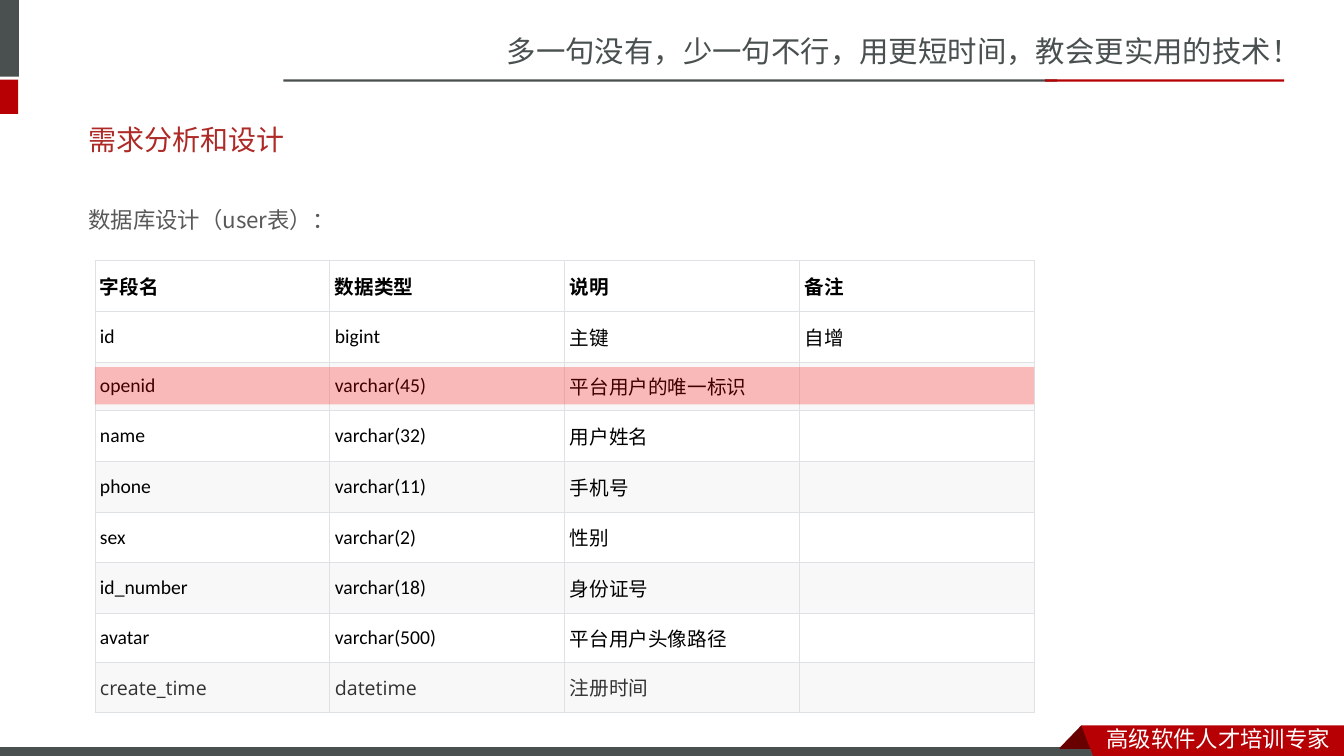
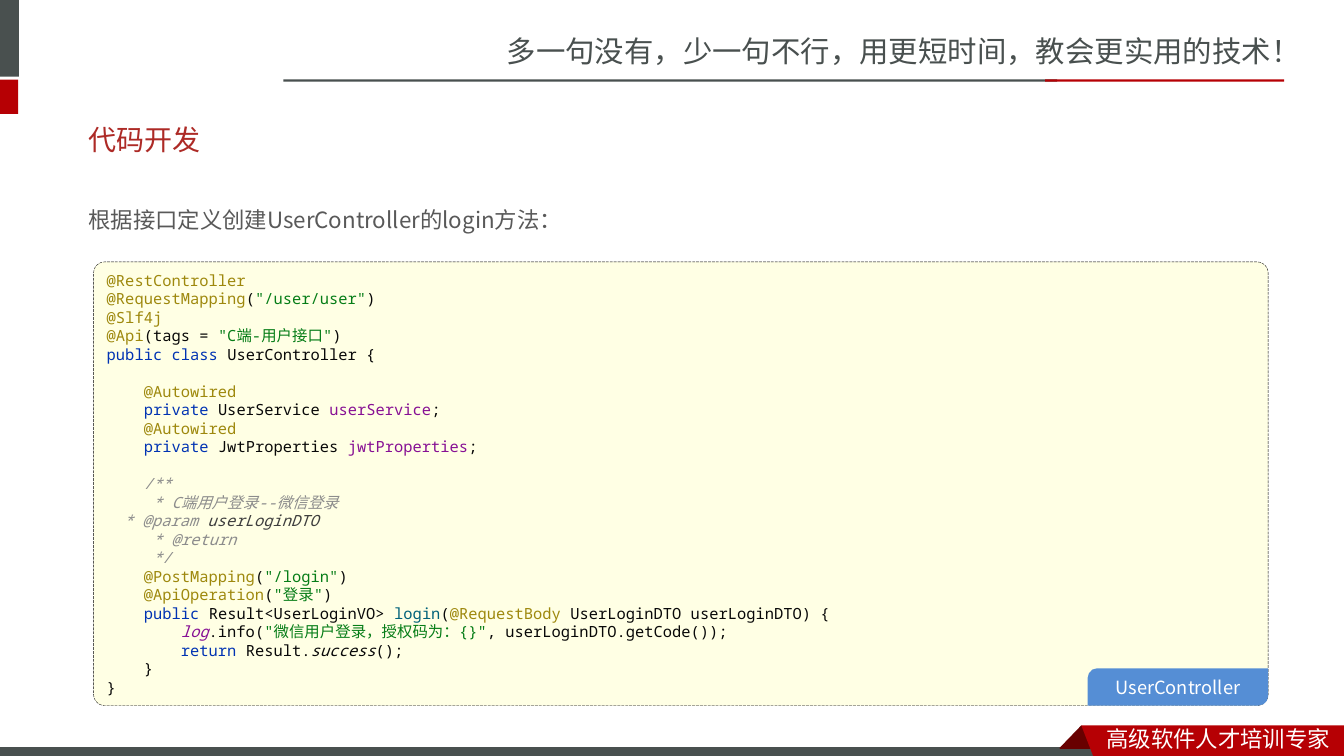
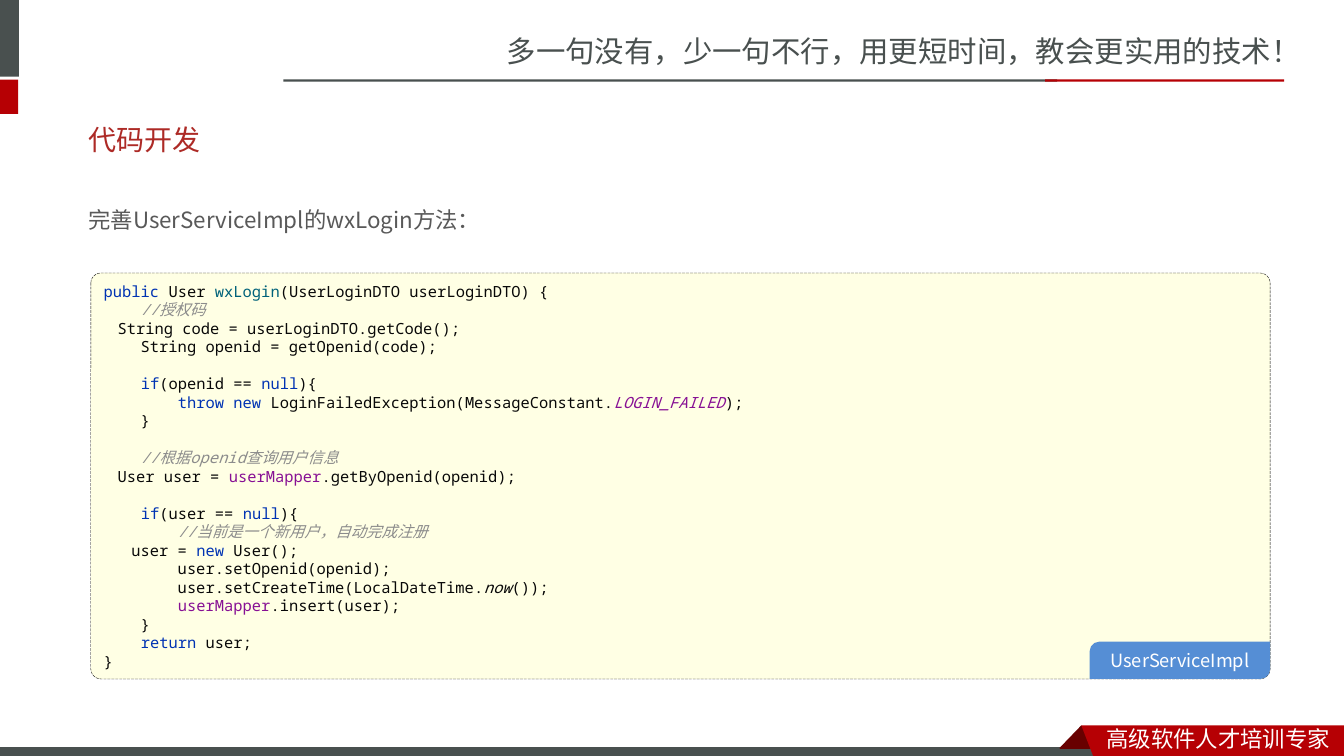
from copy import deepcopy

from lxml import etree
from pptx import Presentation
from pptx import util as u
from pptx.dml.color import RGBColor
from pptx.enum import dml, shapes, text
from pptx.oxml import ns

Cm, Pt = u.Cm, u.Pt
SHAPE = shapes.MSO_SHAPE

SLATE = RGBColor(0x49, 0x50, 0x4F)
RED = RGBColor(0xB6, 0x00, 0x04)
DARK_RED = RGBColor(0x68, 0x00, 0x00)
TITLE_RED = RGBColor(0xAD, 0x2A, 0x26)
HIGHLIGHT = RGBColor(0xFF, 0x00, 0x00)
WHITE = RGBColor(0xFF, 0xFF, 0xFF)
BLACK = RGBColor(0x00, 0x00, 0x00)
GREY = RGBColor(0x59, 0x59, 0x59)
DARK_GREY = RGBColor(0x33, 0x33, 0x33)
STRIPE = RGBColor(0xF8, 0xF8, 0xF8)
BORDER = "DFE2E5"
CREAM = RGBColor(0xFF, 0xFF, 0xE4)
BLUE = RGBColor(0x55, 0x8E, 0xD5)

PLAIN = RGBColor(0x08, 0x08, 0x08)
KEYWORD = RGBColor(0x00, 0x33, 0xB3)
ANNOTATION = RGBColor(0x9E, 0x88, 0x0D)
STRING = RGBColor(0x06, 0x7D, 0x17)
FIELD = RGBColor(0x87, 0x10, 0x94)
METHOD = RGBColor(0x00, 0x62, 0x7A)
COMMENT = RGBColor(0x8C, 0x8C, 0x8C)
PARAM = RGBColor(0x3D, 0x3D, 0x3D)

CJK = "Noto Sans CJK SC"
CJK_JP = "Noto Sans CJK JP"
HEADER_FONT = dict(name=CJK, size=Pt(21))
RIBBON_FONT = dict(name=CJK, size=Pt(16))
TITLE_FONT = dict(name="Lato", size=Pt(20), bold=False)
LEAD_FONT = dict(name=CJK_JP, size=Pt(16))
TAG_FONT = dict(name=CJK_JP, size=Pt(13))
CODE_FONT = dict(name="Noto Sans Mono", size=Pt(11))


def write(p, txt, color, fmt):
    for i, line in enumerate(txt.split("\n")):
        if i:
            p.add_line_break()
            p._p[-1].append(deepcopy(r._r.rPr))
        if line:
            r = p.add_run()
            r.text = line
            for key, value in fmt.items():
                setattr(r.font, key, value)
            r.font.color.rgb = color
            latin = r._r.rPr.find(ns.qn("a:latin"))
            ea = etree.Element(ns.qn("a:ea"), typeface=CJK)
            latin.addnext(ea)


def add_box(s, kind, x, y, w, h, fill):
    sp = s.shapes.add_shape(kind, Cm(x), Cm(y), Cm(w), Cm(h))
    sp.shadow.inherit = False
    sp.fill.solid()
    sp.fill.fore_color.rgb = fill
    sp.line.fill.background()
    return sp


prs = Presentation()
prs.slide_width, prs.slide_height = Cm(33.87), Cm(19.05)
layout = prs.slide_layouts[5]

PAGES = [
    ("需求分析和设计", "数据库设计（user表）："),
    ("代码开发", "根据接口定义创建UserController的login方法："),
    ("代码开发", "完善UserServiceImpl的wxLogin方法："),
]
for title, lead in PAGES:
    s = prs.slides.add_slide(layout)
    sp = s.shapes.title
    sp.left, sp.top, sp.width, sp.height = Cm(1.98), Cm(2.79), Cm(29.72), Cm(1.45)
    tf = sp.text_frame
    tf.auto_size = text.MSO_AUTO_SIZE.NONE
    tf.vertical_anchor = text.MSO_ANCHOR.MIDDLE
    tf.paragraphs[0].alignment = text.PP_ALIGN.LEFT
    write(tf.paragraphs[0], title, TITLE_RED, TITLE_FONT)

    sp = s.shapes.add_textbox(Cm(1.98), Cm(4.72), Cm(28.93), Cm(1.17))
    sp.text_frame.word_wrap = True
    p = sp.text_frame.paragraphs[0]
    p.line_spacing = 1.5
    write(p, lead, GREY, LEAD_FONT)

table_slide, controller_slide, service_slide = prs.slides

s = table_slide
first_shared = len(s.shapes)
for x, y, w, h, fill in [
    (0, 0, 0.48, 1.93, SLATE),
    (0, 2.01, 0.46, 0.86, RED),
    (7.14, 2, 19.5, 0.06, SLATE),
    (26.34, 2, 6.02, 0.06, RED),
]:
    add_box(s, SHAPE.RECTANGLE, x, y, w, h, fill)
bar = add_box(s, SHAPE.RECTANGLE, -0.03, 18.82, 27.94, 0.3, SLATE)
bar.line.color.rgb = WHITE
bar.line.width = Pt(0.75)
for points, fill in [
    ([(27.25, 18.28), (27.81, 18.85), (27.79, 18.87), (26.72, 18.87), (26.7, 18.85)], DARK_RED),
    ([(27.25, 18.28), (33.87, 18.28), (33.87, 19.15), (27.58, 19.13)], RED),
]:
    corners = [(Cm(x), Cm(y)) for x, y in points]
    outline = s.shapes.build_freeform(*corners[0])
    outline.add_line_segments(corners[1:], close=True)
    sp = outline.convert_to_shape()
    sp.shadow.inherit = False
    sp.fill.solid()
    sp.fill.fore_color.rgb = fill
    sp.line.fill.background()
for x, y, w, h, txt, color, fmt in [
    (12.52, 0.71, 21.35, 1.19, "多一句没有，少一句不行，用更短时间，教会更实用的技术！", SLATE, HEADER_FONT),
    (27.64, 18.16, 6.23, 0.94, "高级软件人才培训专家", WHITE, RIBBON_FONT),
]:
    sp = s.shapes.add_textbox(Cm(x), Cm(y), Cm(w), Cm(h))
    sp.text_frame.word_wrap = True
    write(sp.text_frame.paragraphs[0], txt, color, fmt)
for sp in list(s.shapes)[first_shared:]:
    layout.shapes._spTree.append(sp._element)

ROWS = [
    ("字段名", "数据类型", "说明", "备注"),
    ("id", "bigint", "主键", "自增"),
    ("openid", "varchar(45)", "平台用户的唯一标识", ""),
    ("name", "varchar(32)", "用户姓名", ""),
    ("phone", "varchar(11)", "手机号", ""),
    ("sex", "varchar(2)", "性别", ""),
    ("id_number", "varchar(18)", "身份证号", ""),
    ("avatar", "varchar(500)", "平台用户头像路径", ""),
    ("create_time", "datetime", "注册时间", ""),
]
LAST = len(ROWS) - 1
CELL = dict(
    vertical_anchor=text.MSO_ANCHOR.MIDDLE,
    margin_left=Cm(0.13), margin_right=Cm(0.13),
    margin_top=Cm(0.05), margin_bottom=Cm(0.05),
)
table = s.shapes.add_table(
    len(ROWS), 4, Cm(2.39), Cm(6.56), Cm(23.68), Cm(11.4)).table
table.first_row = table.horz_banding = False
for column in table.columns:
    column.width = Cm(5.92)
for i, row in enumerate(ROWS):
    table.rows[i].height = Cm(1.22 if i in (2, 7) else 1.28)
    fmt = dict(name="Open Sans" if i == LAST else "Calibri", size=Pt(14), bold=i == 0)
    for j, txt in enumerate(row):
        cell = table.cell(i, j)
        for key, value in CELL.items():
            setattr(cell, key, value)
        write(cell.text_frame.paragraphs[0], txt, DARK_GREY if i == LAST else BLACK, fmt)
        tcPr = cell._tc.get_or_add_tcPr()
        for side in ("lnL", "lnR", "lnT", "lnB"):
            ln = etree.SubElement(tcPr, ns.qn("a:" + side), w=str(Pt(0.5)))
            solid = etree.SubElement(ln, ns.qn("a:solidFill"))
            etree.SubElement(solid, ns.qn("a:srgbClr"), val=BORDER)
        if i and i % 2 == 0:
            cell.fill.solid()
            cell.fill.fore_color.rgb = STRIPE
        else:
            cell.fill.background()

sp = add_box(s, SHAPE.RECTANGLE, 2.39, 9.25, 23.67, 0.94, HIGHLIGHT)
rgb = sp._element.spPr.find(".//" + ns.qn("a:srgbClr"))
etree.SubElement(rgb, ns.qn("a:alpha"), val="25000")

CONTROLLER_CODE = [
    (ANNOTATION, "@RestController\n@RequestMapping"), (PLAIN, "("),
    (STRING, "\"/user/user\""), (PLAIN, ")\n"),
    (ANNOTATION, "@Slf4j\n@Api"), (PLAIN, "(tags = "),
    (STRING, "\"C端-用户接口\""), (PLAIN, ")\n"),
    (KEYWORD, "public class "), (PLAIN, "UserController {\n\n    "),
    (ANNOTATION, "@Autowired\n    "),
    (KEYWORD, "private "), (PLAIN, "UserService "),
    (FIELD, "userService"), (PLAIN, ";\n    "),
    (ANNOTATION, "@Autowired\n    "),
    (KEYWORD, "private "), (PLAIN, "JwtProperties "),
    (FIELD, "jwtProperties"), (PLAIN, ";\n\n    "),
    (COMMENT, "/**\n     * C端用户登录--微信登录\n     * @param ", True),
    (PARAM, "userLoginDTO\n     ", True),
    (COMMENT, "* @return\n     */\n    ", True),
    (ANNOTATION, "@PostMapping"), (PLAIN, "("),
    (STRING, "\"/login\""), (PLAIN, ")\n    "),
    (ANNOTATION, "@ApiOperation"), (PLAIN, "("),
    (STRING, "\"登录\""), (PLAIN, ")\n    "),
    (KEYWORD, "public "), (PLAIN, "Result<UserLoginVO> "),
    (METHOD, "login"), (PLAIN, "("), (ANNOTATION, "@RequestBody "),
    (PLAIN, "UserLoginDTO userLoginDTO) {\n        "),
    (FIELD, "log", True), (PLAIN, ".info("),
    (STRING, "\"微信用户登录，授权码为：{}\""),
    (PLAIN, ", userLoginDTO.getCode());\n        "),
    (KEYWORD, "return "), (PLAIN, "Result."), (PLAIN, "success", True),
    (PLAIN, "();\n    }\n}"),
]
SERVICE_CODE = [
    (KEYWORD, "public "), (PLAIN, "User "), (METHOD, "wxLogin"),
    (PLAIN, "(UserLoginDTO userLoginDTO) {\n    "),
    (COMMENT, "//授权码\n    ", True),
    (PLAIN, "String code = userLoginDTO.getCode();\n    "
            "String openid = getOpenid(code);\n\n    "),
    (KEYWORD, "if"), (PLAIN, "(openid == "), (KEYWORD, "null"), (PLAIN, "){\n        "),
    (KEYWORD, "throw new "), (PLAIN, "LoginFailedException(MessageConstant."),
    (FIELD, "LOGIN_FAILED", True), (PLAIN, ");\n    }\n\n    "),
    (COMMENT, "//根据openid查询用户信息\n    ", True),
    (PLAIN, "User user = "), (FIELD, "userMapper"),
    (PLAIN, ".getByOpenid(openid);\n\n    "),
    (KEYWORD, "if"), (PLAIN, "(user == "), (KEYWORD, "null"), (PLAIN, "){\n        "),
    (COMMENT, "//当前是一个新用户，自动完成注册\n        ", True),
    (PLAIN, "user = "), (KEYWORD, "new "),
    (PLAIN, "User();\n        user.setOpenid(openid);\n        "
            "user.setCreateTime(LocalDateTime."),
    (PLAIN, "now", True), (PLAIN, "());\n        "),
    (FIELD, "userMapper"), (PLAIN, ".insert(user);\n    }\n    "),
    (KEYWORD, "return "), (PLAIN, "user;\n}"),
]
TAG_W, TAG_H = 4.55, 0.94
for s, code, tag, x, y, w, h in [
    (controller_slide, CONTROLLER_CODE, "UserController", 2.36, 6.6, 29.6, 11.18),
    (service_slide, SERVICE_CODE, "UserServiceImpl", 2.29, 6.88, 29.72, 10.23),
]:
    sp = add_box(s, SHAPE.ROUNDED_RECTANGLE, x, y, w, h, CREAM)
    sp.adjustments[0] = 0.025
    sp.line.color.rgb = BLACK
    sp.line.width = Pt(0.25)
    sp.line.dash_style = dml.MSO_LINE.LONG_DASH
    tf = sp.text_frame
    tf.word_wrap = True
    tf.vertical_anchor = text.MSO_ANCHOR.MIDDLE
    p = tf.paragraphs[0]
    p.alignment = text.PP_ALIGN.LEFT
    for color, txt, *italic in code:
        write(p, txt, color, dict(CODE_FONT, italic=bool(italic)))

    sp = add_box(s, SHAPE.ROUND_2_DIAG_RECTANGLE,
                 x + w - TAG_W, y + h - TAG_H, TAG_W, TAG_H, BLUE)
    sp.adjustments[0] = 0.26
    tf = sp.text_frame
    for side in ("left", "right", "top", "bottom"):
        setattr(tf, "margin_" + side, 0)
    tf.vertical_anchor = text.MSO_ANCHOR.MIDDLE
    p = tf.paragraphs[0]
    p.alignment = text.PP_ALIGN.CENTER
    write(p, tag, WHITE, TAG_FONT)

prs.save("out.pptx")
